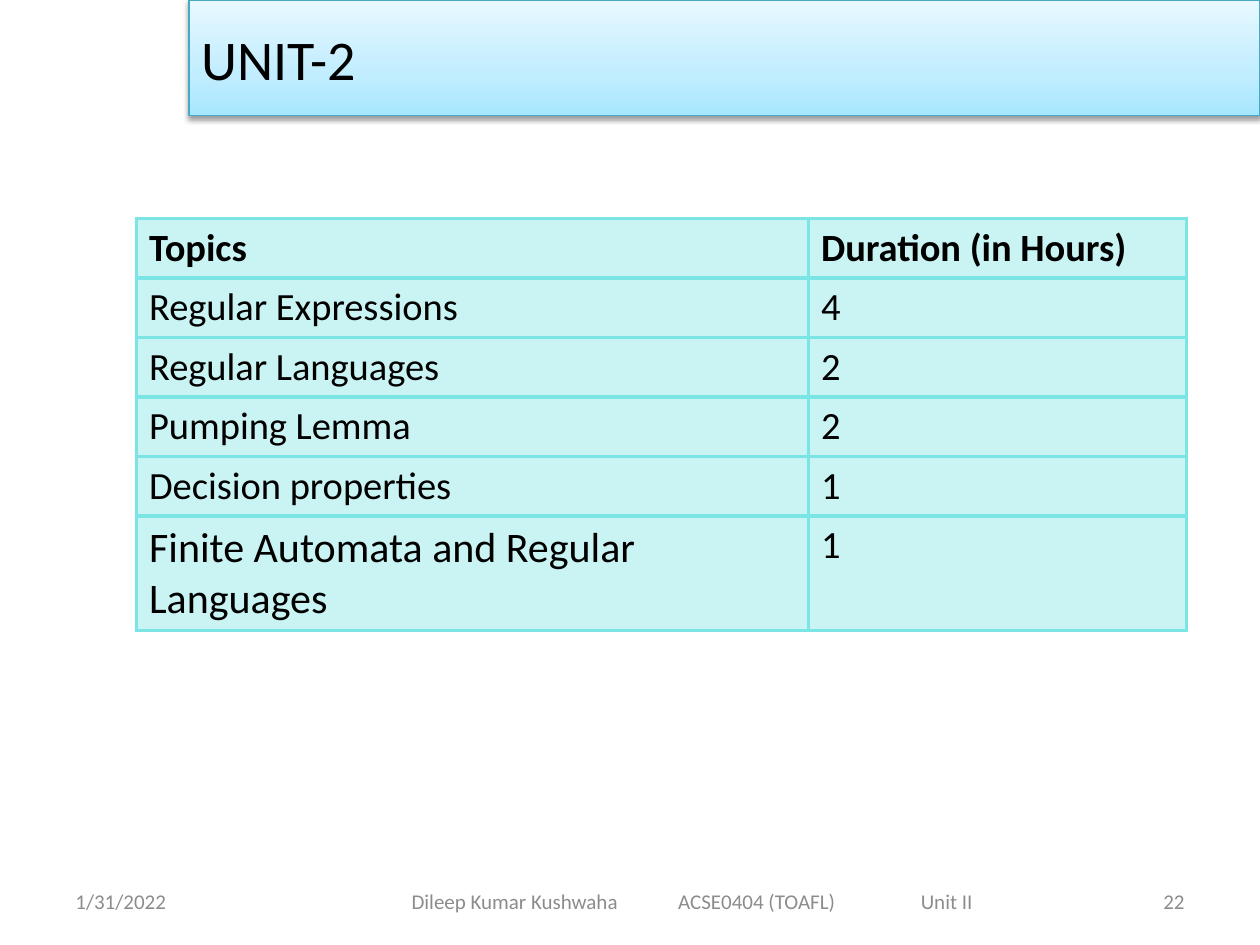
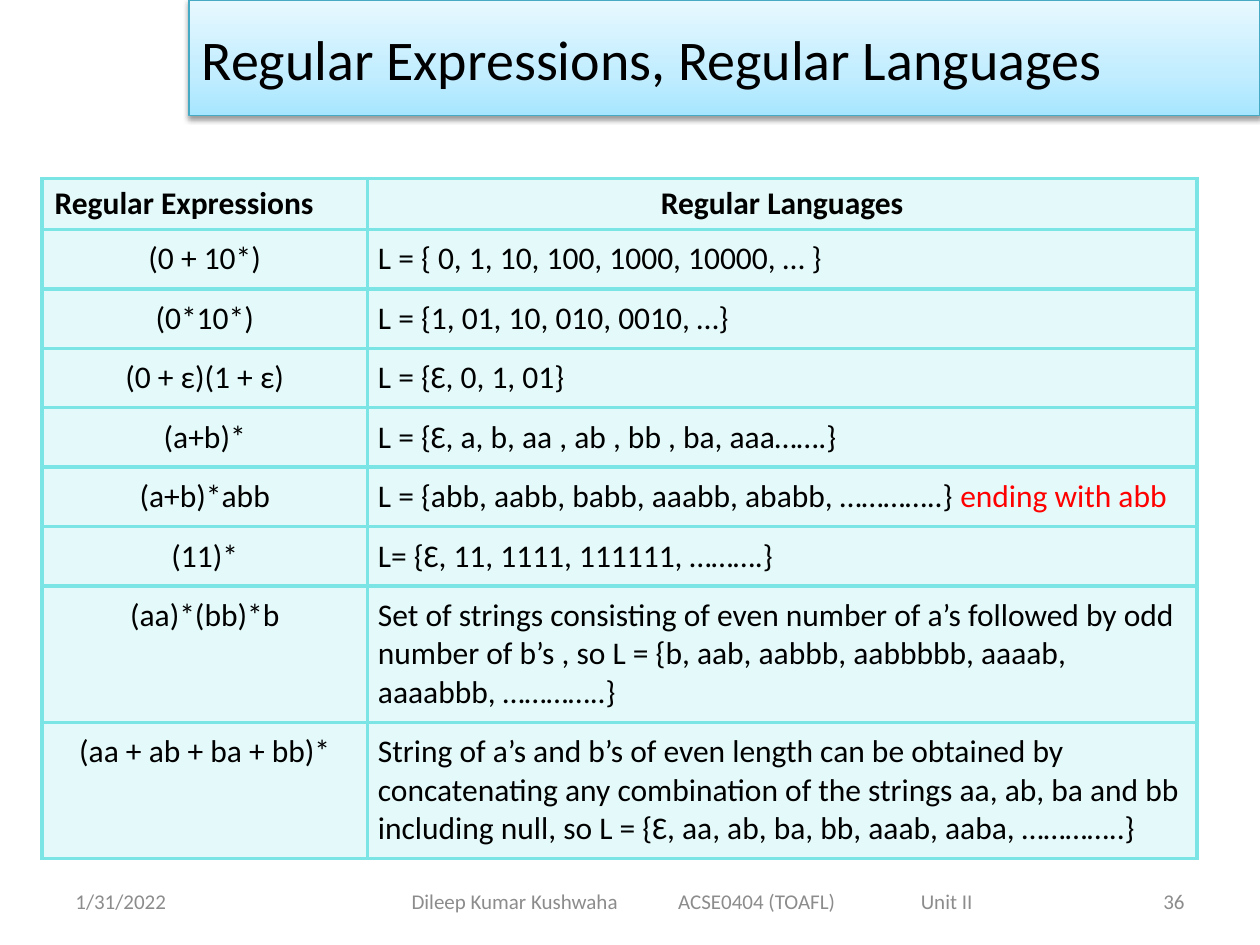
import pptx
import pptx.dml.color
import pptx.enum.text
import pptx.oxml
import pptx.oxml.ns
import pptx.util

RGB = pptx.dml.color.RGBColor
BLACK = RGB(0, 0, 0)
RED = RGB(0xFF, 0, 0)
GREY = RGB(0x8C, 0x8C, 0x8C)
AQUA = RGB(0x7B, 0xE5, 0xE5)
EDGE = RGB(0x46, 0xAA, 0xC5)
SKY = ((0, RGB(0xA7, 0xE6, 0xFF)), (35, RGB(0xC1, 0xED, 0xFF)), (100, RGB(0xE7, 0xF8, 0xFF)))

FONT = "Calibri"
ALIGN = pptx.enum.text.PP_ALIGN
LEFT, MID, RIGHT = ALIGN.LEFT, ALIGN.CENTER, ALIGN.RIGHT
CENTRE = pptx.enum.text.MSO_ANCHOR.MIDDLE
UNIT = pptx.util.Inches(10) / 120

BAND = (18, 0, 102, 11)
FOOT = (6, 83.4, 108, 4.8)
DATE = "1/31/2022"
CREDIT = "Dileep Kumar Kushwaha\tACSE0404 (TOAFL)\tUnit II"

PLAN = [
    ("Topics", "Duration (in Hours)"),
    ("Regular Expressions", "4"),
    ("Regular Languages", "2"),
    ("Pumping Lemma", "2"),
    ("Decision properties", "1"),
    ("Finite Automata and Regular Languages", "1"),
]
PAIRS = [
    ("Regular Expressions", "Regular Languages"),
    ("(0 + 10*)", "L = { 0, 1, 10, 100, 1000, 10000, … }"),
    ("(0*10*)", "L = {1, 01, 10, 010, 0010, …}"),
    ("(0 + ε)(1 + ε)", "L = {Ɛ, 0, 1, 01}"),
    ("(a+b)*", "L = {Ɛ, a, b, aa , ab , bb , ba, aaa…….}"),
    ("(a+b)*abb", "L = {abb, aabb, babb, aaabb, ababb, …………..} "),
    ("(11)*", "L= {Ɛ, 11, 1111, 111111, ……….}"),
    ("(aa)*(bb)*b", "Set of strings consisting of even number of a’s followed by odd number of b’s , "
     "so L = {b, aab, aabbb, aabbbbb, aaaab, aaaabbb, …………..}"),
    ("(aa + ab + ba + bb)*", "String of a’s and b’s of even length can be obtained by concatenating any "
     "combination of the strings aa, ab, ba and bb including null, "
     "so L = {Ɛ, aa, ab, ba, bb, aaab, aaba, …………..}"),
]


def span(count):
    return round(count * UNIT)


def node(xml):
    head, rest = xml.split(">", 1)
    close = "/" if head.endswith("/") else ""
    return pptx.oxml.parse_xml(f"{head.rstrip('/')} {pptx.oxml.ns.nsdecls('a')}{close}>{rest}")


def style(para, size, color=BLACK, bold=False, align=LEFT):
    para.alignment = align
    font = para.font
    font.name, font.size, font.bold = FONT, pptx.util.Pt(size), bold
    font.color.rgb = color


def title(slide, box, text):
    band = slide.shapes.title
    band.left, band.top, band.width, band.height = map(span, box)
    stops = "".join(f'<a:gs pos="{pos * 1000}"><a:srgbClr val="{color}"/></a:gs>' for pos, color in SKY)
    props = band.element.spPr
    props.append(node(f'<a:gradFill rotWithShape="1"><a:gsLst>{stops}</a:gsLst>'
                      '<a:lin ang="16200000" scaled="1"/></a:gradFill>'))
    band.line.color.rgb = EDGE
    band.line.width = pptx.util.Pt(0.75)
    props.append(node('<a:effectLst><a:outerShdw blurRad="40000" dist="20000" dir="5400000" rotWithShape="0">'
                      '<a:srgbClr val="000000"><a:alpha val="38000"/></a:srgbClr></a:outerShdw></a:effectLst>'))
    frame = band.text_frame
    frame.text = text
    frame.word_wrap = True
    frame.auto_size = pptx.enum.text.MSO_AUTO_SIZE.NONE
    frame.vertical_anchor = CENTRE
    style(frame.paragraphs[0], 32)


def label(slide, box, text, align=LEFT, tabs=()):
    frame = slide.shapes.add_textbox(*map(span, box)).text_frame
    frame.word_wrap = True
    frame.vertical_anchor = CENTRE
    para = frame.paragraphs[0]
    para.text = text
    if tabs:
        stops = "".join(f'<a:tab pos="{span(tab)}" algn="l"/>' for tab in tabs)
        para._p.get_or_add_pPr().append(node(f"<a:tabLst>{stops}</a:tabLst>"))
    style(para, 12, GREY, align=align)
    return frame


def footer(slide, box, number):
    left, top, width, height = box
    side = 28
    label(slide, (left, top, side, height), DATE)
    credit = label(slide, (left + 27, top, 66, height), CREDIT, tabs=(25.4, 48.5))
    credit.margin_left = span(6.2)
    label(slide, (left + width - side, top, side, height), number, RIGHT)


def paint(cell, alpha):
    cell.fill.solid()
    cell.fill.fore_color.rgb = AQUA
    props = cell._tc.tcPr
    props.find(".//" + pptx.oxml.ns.qn("a:srgbClr")).append(node(f'<a:alpha val="{alpha * 1000}"/>'))
    for spot, side in enumerate("LRTB"):
        props.insert(spot, node(f'<a:ln{side} w="{pptx.util.Pt(2.25)}"><a:solidFill>'
                                f'<a:srgbClr val="{AQUA}"/></a:solidFill></a:ln{side}>'))


def grid(slide, box, rows, cols, highs, size, alpha):
    left, top, width = box
    frame = slide.shapes.add_table(len(rows), len(cols), *map(span, (left, top, width, sum(highs))))
    table = frame.table
    table.first_row = table.horz_banding = False
    for col, share in zip(table.columns, cols):
        col.width = span(width * share)
    for row, high in zip(table.rows, highs):
        row.height = span(high)
    for r, texts in enumerate(rows):
        for c, text in enumerate(texts):
            cell = table.cell(r, c)
            cell.text = text
            style(cell.text_frame.paragraphs[0], size, bold=r == 0)
            paint(cell, alpha)
    return table


def page(deck, name, number):
    slide = deck.slides.add_slide(deck.slide_layouts[5])
    title(slide, BAND, name)
    footer(slide, FOOT, number)
    return slide


def hours(deck):
    slide = page(deck, "UNIT-2", "22")
    highs = [5.67] * 5 + [10.9]
    table = grid(slide, (13, 20.8, 100), PLAN, (0.64, 0.36), highs, 22, 40)
    table.cell(5, 0).text_frame.paragraphs[0].font.size = pptx.util.Pt(24)


def langs(deck):
    slide = page(deck, "Regular Expressions, Regular Languages", "36")
    highs = [4.86] + [5.66] * 6 + [12.98] * 2
    table = grid(slide, (4, 17, 110), PAIRS, (31 / 110, 79 / 110), highs, 18, 20)
    table.cell(0, 1).text_frame.paragraphs[0].alignment = MID
    for r in range(1, len(PAIRS)):
        table.cell(r, 0).text_frame.paragraphs[0].alignment = MID
        for c in range(2):
            cell = table.cell(r, c)
            cell.margin_left = cell.margin_right = cell.margin_top = cell.margin_bottom = span(1)
    run = table.cell(5, 1).text_frame.paragraphs[0].add_run()
    run.text = "ending with abb"
    run.font.color.rgb = RED


def main():
    deck = pptx.Presentation()
    deck.slide_width, deck.slide_height = span(120), span(90)
    hours(deck)
    langs(deck)
    deck.save("out.pptx")


if __name__ == "__main__":
    main()
